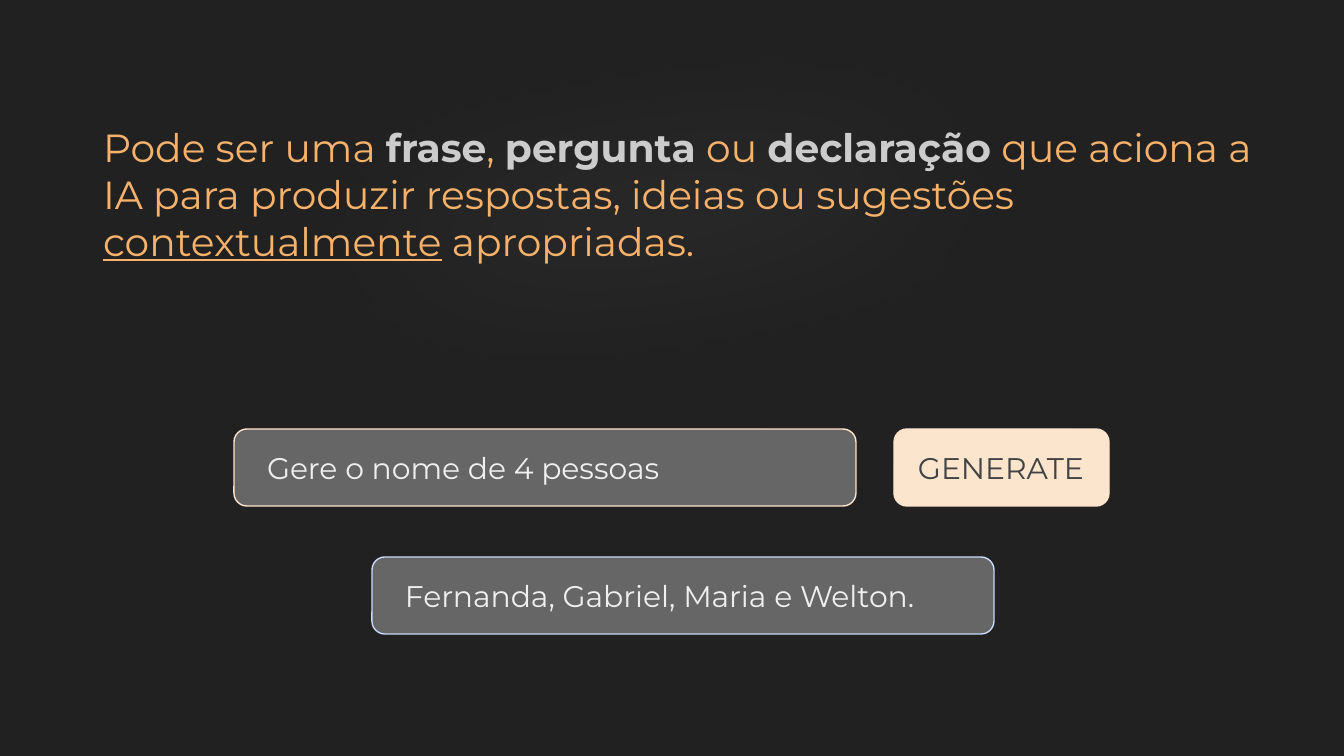
import pptx
import pptx.dml.color
import pptx.enum.shapes
import pptx.enum.text
import pptx.oxml
import pptx.util
import lxml.etree

SCALE = 914400 / 134.4
SHAPES = pptx.enum.shapes.MSO_SHAPE
TEXT = pptx.enum.text


def px(length):
    return pptx.util.Emu(round(length * SCALE))


def colour(value):
    return pptx.dml.color.RGBColor.from_string(value)


class PageBuilder:
    font = "Montserrat"
    ground = "212121"
    inset = 13
    frame_format = {
        "word_wrap": True,
        "vertical_anchor": TEXT.MSO_ANCHOR.TOP,
        "margin_left": px(inset),
        "margin_right": px(inset),
        "margin_top": px(inset),
        "margin_bottom": px(inset),
    }

    def __init__(self, deck):
        self.page = deck.slides.add_slide(deck.slide_layouts[0])
        self.page.background.fill.solid()
        self.page.background.fill.fore_color.rgb = colour(self.ground)
        subtitle = self.page.placeholders[1].element
        subtitle.getparent().remove(subtitle)

    def apply(self, target, values):
        for name, value in values.items():
            setattr(target, name, value)

    def place(self, box, left, top, width, height):
        self.apply(box, {"left": px(left), "top": px(top),
                         "width": px(width), "height": px(height)})

    def fill_text(self, box, spans, size, fit):
        self.apply(box.text_frame, {**self.frame_format, "auto_size": fit})
        para = box.text_frame.paragraphs[0]
        para.alignment = TEXT.PP_ALIGN.LEFT
        for text, ink, values in spans:
            span = para.add_run()
            span.text = text
            self.apply(span.font, {"name": self.font, "size": pptx.util.Pt(size),
                                   "bold": False, **values})
            span.font.color.rgb = colour(ink)

    def shape(self, owner, kind, area, fill, line=None):
        shape = owner.add_shape(kind, *map(px, area))
        shape.shadow.inherit = False
        shape.fill.solid()
        shape.fill.fore_color.rgb = colour(fill)
        if line:
            shape.line.color.rgb = colour(line)
            shape.line.width = pptx.util.Pt(0.75)
        else:
            shape.line.fill.background()
        return shape

    def glow(self, area, fill, softness, rotation):
        glow = self.shape(self.page.shapes, SHAPES.OVAL, area, fill)
        glow.rotation = rotation
        effects = glow.element.spPr.find(pptx.oxml.ns.qn("a:effectLst"))
        lxml.etree.SubElement(effects, pptx.oxml.ns.qn("a:softEdge"),
                              rad=str(px(softness)))

    def field(self, left, top, width, text, indent, fill, line, ink):
        height, label_height = 77, 63
        group = self.page.shapes.add_group_shape()
        panel = self.shape(group.shapes, SHAPES.ROUNDED_RECTANGLE,
                           (left, top, width, height), fill, line)
        panel.adjustments[0] = 0.167
        label = group.shapes.add_textbox(
            px(left + indent), px(top + (height - label_height) / 2 + 1),
            px(width - 2 * indent), px(label_height))
        self.fill_text(label, [(text, ink, {})], 16,
                       TEXT.MSO_AUTO_SIZE.SHAPE_TO_FIT_TEXT)

    def title(self, area, spans):
        title = self.page.shapes.title
        self.place(title, *area)
        self.fill_text(title, spans, 21, TEXT.MSO_AUTO_SIZE.NONE)
        title.element.getparent().append(title.element)


def main():
    deck = pptx.Presentation()
    deck.slide_width, deck.slide_height = px(1344), px(756)
    builder = PageBuilder(deck)

    builder.glow((10, 0, 1300, 420), "2E2E2E", 150, -4)

    orange, silver = "F6B26B", "CCCCCC"
    grey, cream, blue, white = "666666", "FCE5CD", "C9DAF8", "EFEFEF"
    builder.field(234, 429, 622, "Gere o nome de 4 pessoas", 20, grey, cream, white)
    builder.field(894, 429, 215, "GENERATE", 11, cream, cream, "434343")
    builder.field(372, 557, 622, "Fernanda, Gabriel, Maria e Welton.", 20, grey, blue, white)

    bold = {"bold": True}
    builder.title((90, 110, 1185, 180), [
        ("Pode ser uma ", orange, {}),
        ("frase", silver, bold),
        (", ", orange, {}),
        ("pergunta", silver, bold),
        (" ou ", orange, {}),
        ("declaração", silver, bold),
        (" que aciona a IA para produzir respostas, ideias ou sugestões ", orange, {}),
        ("contextualmente", orange, {"underline": True}),
        (" apropriadas.", orange, {}),
    ])
    deck.save("out.pptx")


if __name__ == "__main__":
    main()
